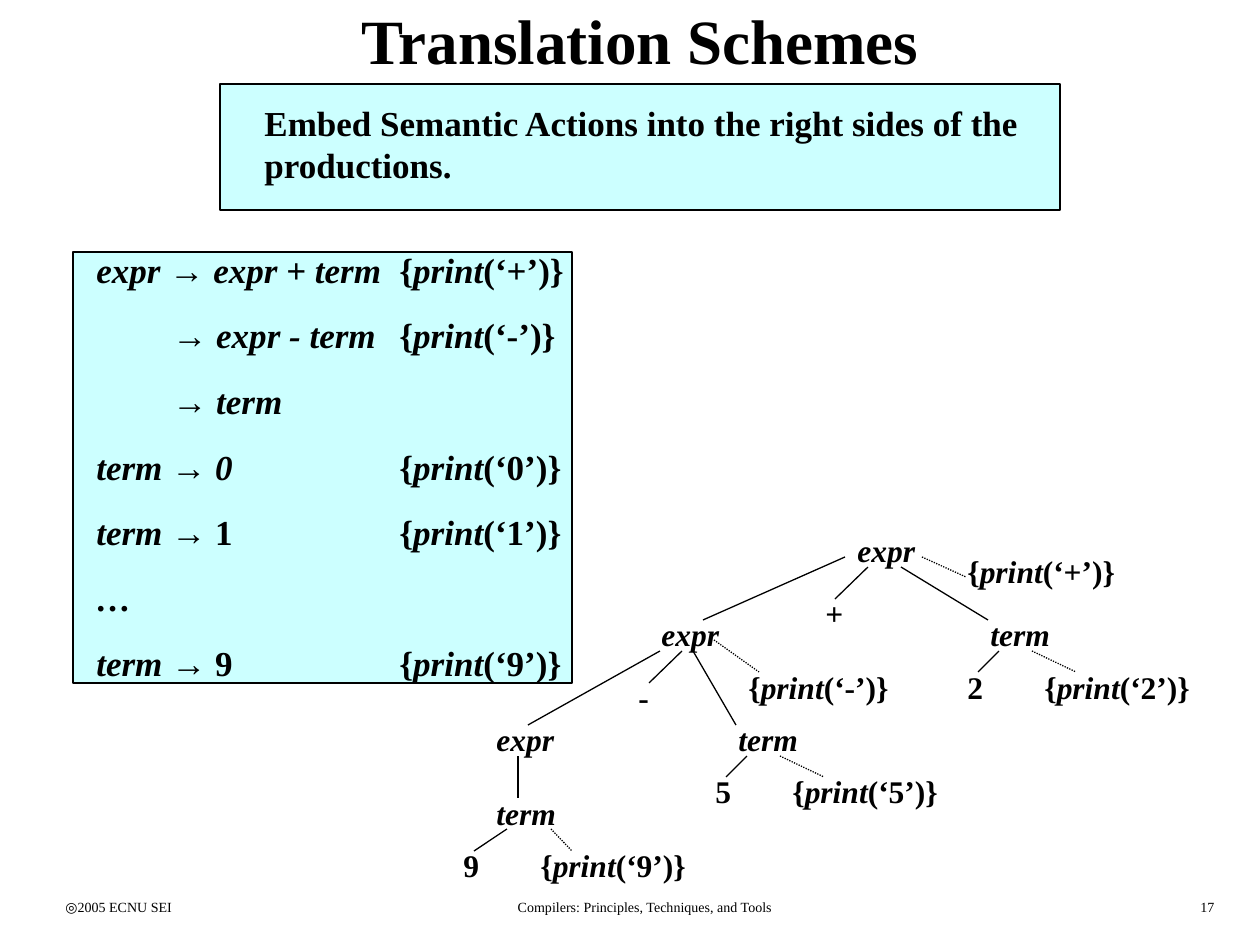
"""Build the Translation Schemes slide with its grammar and parse tree."""
import pptx
import pptx.util
import pptx.dml.color
import pptx.enum.dml
import pptx.enum.shapes
import pptx.enum.text
import lxml.etree
import itertools

BLACK = pptx.dml.color.RGBColor(0, 0, 0)
CYAN = pptx.dml.color.RGBColor(0xCC, 0xFF, 0xFF)
PP = pptx.enum.text.PP_ALIGN
ANCHOR = pptx.enum.text.MSO_ANCHOR
NS = "{http://schemas.openxmlformats.org/drawingml/2006/main}"


def px(n):
    return pptx.util.Emu(round(n * 914400 / 126))


def write(sp, text, size=18, bold=True, align=PP.LEFT, anchor=ANCHOR.TOP,
          before=0, spacing=1.0, tabs=()):
    """Fill a shape with lines of text, where *stars* mark italics."""
    tf = sp.text_frame
    tf.word_wrap = True
    tf.auto_size = pptx.enum.text.MSO_AUTO_SIZE.NONE
    tf.vertical_anchor = anchor
    for i, line in enumerate(text.split("\n")):
        p = tf.add_paragraph() if i else tf.paragraphs[0]
        p.alignment = align
        p.line_spacing = spacing
        p.space_before = pptx.util.Pt(before if i else 0)
        if tabs:
            stops = lxml.etree.SubElement(p._p.get_or_add_pPr(), NS + "tabLst")
            for tab in tabs:
                lxml.etree.SubElement(stops, NS + "tab", pos=str(px(tab)), algn="l")
        for j, part in enumerate(line.split("*")):
            for arrow, chars in itertools.groupby(part, lambda c: c == "→"):
                r = p.add_run()
                r.text = "".join(chars)
                r.font.name = "Arial" if arrow else "Times New Roman"
                r.font.size = pptx.util.Pt(size)
                r.font.bold = bold
                r.font.italic = j % 2 == 1
                r.font.color.rgb = BLACK


prs = pptx.Presentation()
prs.slide_width, prs.slide_height = px(1260), px(945)
s = prs.slides.add_slide(prs.slide_layouts[5])

title = s.shapes.title
title.left, title.top, title.width, title.height = px(73), px(10), px(1134), px(73)
write(title, "Translation Schemes", size=36, align=PP.CENTER,
      anchor=ANCHOR.MIDDLE, spacing=0.8)

for box in ((220, 84, 840, 126), (73, 252, 499, 431)):
    sp = s.shapes.add_shape(pptx.enum.shapes.MSO_SHAPE.RECTANGLE, *map(px, box))
    sp.shadow.inherit = False
    sp.fill.solid()
    sp.fill.fore_color.rgb = CYAN
    sp.line.color.rgb = BLACK
    sp.line.width = pptx.util.Pt(0.75)

sp = s.shapes.add_textbox(px(252), px(95), px(788), px(97))
write(sp, "Embed Semantic Actions into the right sides of the productions.", size=20)

grammar = [
    "*expr* → *expr + term*\t{*print*(‘+’)}",
    "\t→ *expr - term*\t{*print*(‘-’)}",
    "\t→ *term*",
    "*term* → *0*\t{*print*(‘0’)}",
    "*term* → 1\t{*print*(‘1’)}",
    "*…*",
    "*term* → 9\t{*print*(‘9’)}",
]
sp = s.shapes.add_textbox(px(84), px(242), px(756), px(438))
write(sp, "\n".join(grammar), size=20, before=13.5, tabs=(76, 303))

nodes = [
    ("*expr*", 845, 525), ("*expr*", 649, 609), ("*expr*", 484, 714),
    ("*term*", 978, 609), ("*term*", 726, 714), ("*term*", 484, 788),
    ("+", 813, 588), ("-", 626, 672),
    ("2", 955, 662), ("5", 703, 766), ("9", 451, 840),
    ("{*print*(‘+’)}", 955, 546), ("{*print*(‘-’)}", 736, 662),
    ("{*print*(‘2’)}", 1032, 662), ("{*print*(‘5’)}", 780, 766),
    ("{*print*(‘9’)}", 528, 840),
]
for text, x, y in nodes:
    sp = s.shapes.add_textbox(px(x), px(y), px(175), px(50))
    write(sp, text)

branches = [
    (845, 557, 703, 620), (868, 567, 835, 599), (901, 567, 988, 620),
    (660, 651, 528, 725), (682, 651, 649, 683), (693, 651, 736, 725),
    (999, 651, 978, 672), (747, 756, 726, 777),
    (518, 756, 518, 798), (507, 829, 474, 851),
]
actions = [
    (922, 557, 966, 577), (714, 640, 759, 672), (1032, 651, 1076, 672),
    (780, 756, 824, 777), (551, 829, 572, 851),
]
for ends in branches + actions:
    line = s.shapes.add_connector(pptx.enum.shapes.MSO_CONNECTOR.STRAIGHT, *map(px, ends))
    line.line.color.rgb = BLACK
    line.line.width = pptx.util.Pt(0.75)
    if ends in actions:
        line.line.dash_style = pptx.enum.dml.MSO_LINE.ROUND_DOT
    lxml.etree.SubElement(line._element.spPr, NS + "effectLst")

footers = [
    ("◎2005 ECNU SEI", 53, 261, PP.LEFT),
    ("Compilers: Principles, Techniques, and Tools", 410, 470, PP.CENTER),
    ("17", 966, 261, PP.RIGHT),
]
for text, x, width, align in footers:
    sp = s.shapes.add_textbox(px(x), px(892), px(width), px(32))
    write(sp, text, size=8, bold=False, align=align)

prs.save("out.pptx")
